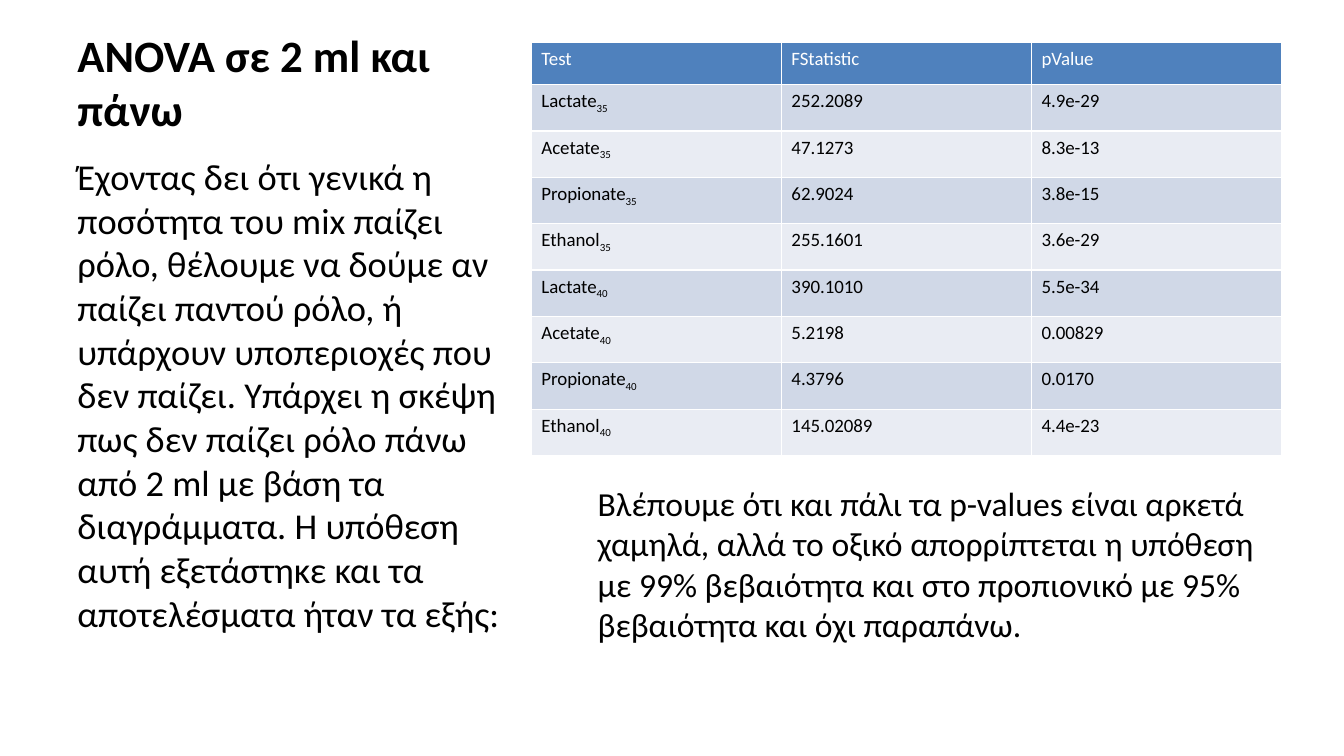
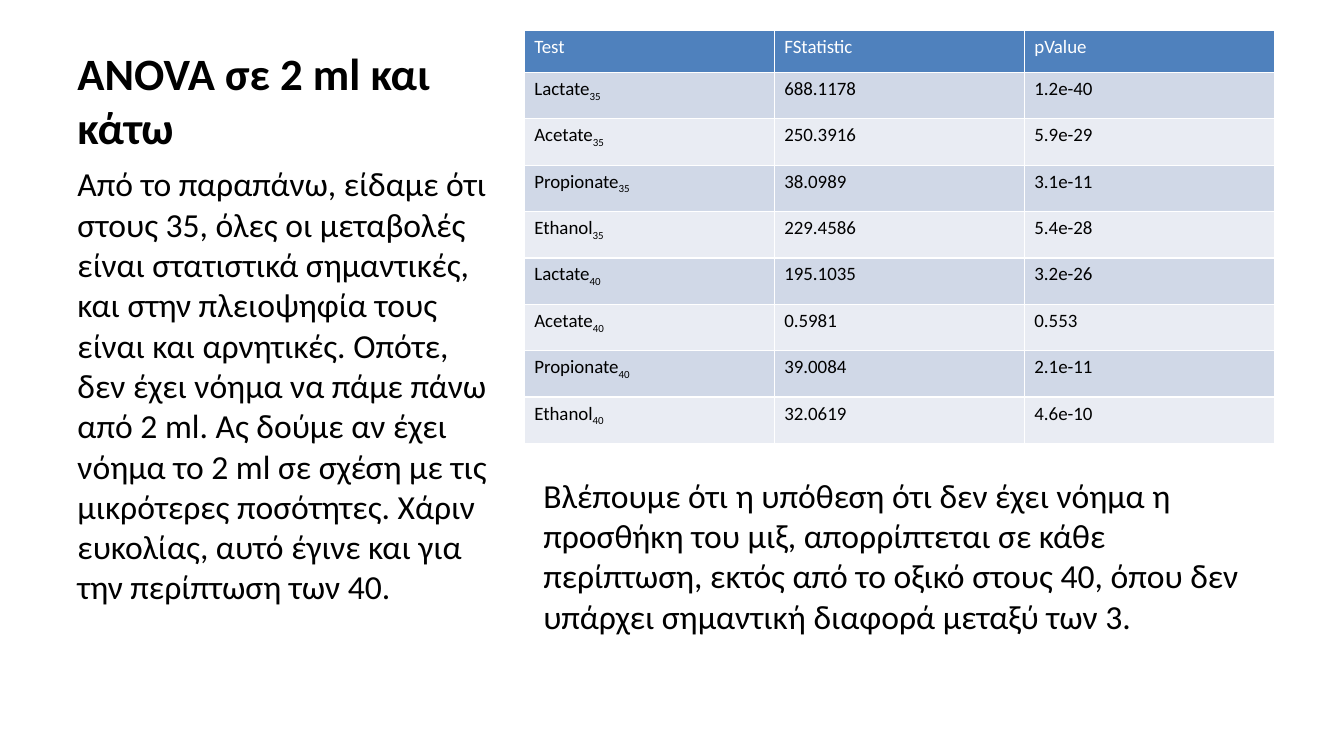
import pptx
import pptx.util
import pptx.dml.color
import pptx.enum.text
import pptx.oxml
import lxml.etree

Inches = pptx.util.Inches
Pt = pptx.util.Pt
Anchor = pptx.enum.text.MSO_ANCHOR

BLACK, WHITE = "000000", "FFFFFF"
HEAD, BANDS = "4F81BD", ("D0D8E7", "E9ECF3")
TITLE = {"size": Pt(32), "bold": True}
LARGE = {"size": Pt(26)}
TEXT = {"size": Pt(24)}
CELL = {"size": Pt(13.5), "bold": False}

COLS = ("Test", "FStatistic", "pValue")
TESTS = [(name, temp) for temp in ("35", "40")
         for name in ("Lactate", "Acetate", "Propionate", "Ethanol")]
COL_W, HEAD_H, ROW_H = 2.48, 0.42, 0.46

SLIDES = [
    {
        "title": ((0.67, 0.12, 4.39, 1.27), "ANOVA σε 2 ml και πάνω"),
        "body": ((0.67, 1.48, 4.56, 5.13),
                 "Έχοντας δει ότι γενικά η ποσότητα του mix παίζει ρόλο, θέλουμε "
                 "να δούμε αν παίζει παντού ρόλο, ή υπάρχουν υποπεριοχές που δεν "
                 "παίζει. Υπάρχει η σκέψη πως δεν παίζει ρόλο πάνω από 2 ml με "
                 "βάση τα διαγράμματα. Η υπόθεση αυτή εξετάστηκε και τα "
                 "αποτελέσματα ήταν τα εξής:", LARGE),
        "table": ((5.27, 0.42),
                  [("252.2089", "4.9e-29"), ("47.1273", "8.3e-13"),
                   ("62.9024", "3.8e-15"), ("255.1601", "3.6e-29"),
                   ("390.1010", "5.5e-34"), ("5.2198", "0.00829"),
                   ("4.3796", "0.0170"), ("145.02089", "4.4e-23")]),
        "note": ((5.83, 4.74, 6.98, 2.25),
                 "Βλέπουμε ότι και πάλι τα p-values είναι αρκετά χαμηλά, αλλά το "
                 "οξικό απορρίπτεται η υπόθεση με 99% βεβαιότητα και στο "
                 "προπιονικό με 95% βεβαιότητα και όχι παραπάνω."),
    },
    {
        "title": ((0.67, 0.3, 4.39, 1.27), "ANOVA σε 2 ml και κάτω"),
        "body": ((0.67, 1.57, 4.39, 5.13),
                 "Από το παραπάνω, είδαμε ότι στους 35, όλες οι μεταβολές είναι "
                 "στατιστικά σημαντικές, και στην πλειοψηφία τους είναι και "
                 "αρνητικές. Οπότε, δεν έχει νόημα να πάμε πάνω από 2 ml. Ας "
                 "δούμε αν έχει νόημα το 2 ml σε σχέση με τις μικρότερες "
                 "ποσότητες. Χάριν ευκολίας, αυτό έγινε και για την περίπτωση "
                 "των 40.", TEXT),
        "table": ((5.2, 0.3),
                  [("688.1178", "1.2e-40"), ("250.3916", "5.9e-29"),
                   ("38.0989", "3.1e-11"), ("229.4586", "5.4e-28"),
                   ("195.1035", "3.2e-26"), ("0.5981", "0.553"),
                   ("39.0084", "2.1e-11"), ("32.0619", "4.6e-10")]),
        "note": ((5.29, 4.66, 7.12, 2.11),
                 "Βλέπουμε ότι η υπόθεση ότι δεν έχει νόημα η προσθήκη του μιξ, "
                 "απορρίπτεται σε κάθε περίπτωση, εκτός από το οξικό στους 40, "
                 "όπου δεν υπάρχει σημαντική διαφορά μεταξύ των 3."),
    },
]


def paint(target, color):
    """Give a font colour or a solid fill its hex colour."""
    target.rgb = pptx.dml.color.RGBColor.from_string(color)


def add_run(para, text, style, color=BLACK):
    run = para.add_run()
    run.text = text
    for key, value in {"name": "Calibri", **style}.items():
        setattr(run.font, key, value)
    paint(run.font.color, color)
    return run


def add_text(slide, box, text, style, anchor=Anchor.TOP, before=0):
    frame = slide.shapes.add_textbox(*map(Inches, box)).text_frame
    frame.word_wrap = True
    frame.vertical_anchor = anchor
    para = frame.paragraphs[0]
    para.space_before = Pt(before)
    add_run(para, text, style)


def add_edges(cell):
    """Draw thin white lines on all four sides of a cell."""
    props = cell._tc.get_or_add_tcPr()
    for side in ("lnL", "lnR", "lnT", "lnB"):
        line = lxml.etree.SubElement(props, pptx.oxml.ns.qn("a:" + side),
                                     w=str(Pt(0.96)))
        fill = lxml.etree.SubElement(line, pptx.oxml.ns.qn("a:solidFill"))
        lxml.etree.SubElement(fill, pptx.oxml.ns.qn("a:srgbClr"), val=WHITE)


def fill_cell(cell, text, back, color=BLACK, sub=""):
    add_edges(cell)
    cell.fill.solid()
    paint(cell.fill.fore_color, back)
    para = cell.text_frame.paragraphs[0]
    add_run(para, text, CELL, color)
    if sub:
        low = add_run(para, sub, CELL, color)
        low.font._element.set("baseline", "-25000")


def add_stats(slide, spot, values):
    """Place the test table with its top left corner at spot."""
    count = len(TESTS)
    size = (COL_W * len(COLS), HEAD_H + ROW_H * count)
    table = slide.shapes.add_table(count + 1, len(COLS),
                                   *map(Inches, spot + size)).table
    for col, name in enumerate(COLS):
        table.columns[col].width = Inches(COL_W)
        fill_cell(table.cell(0, col), name, HEAD, WHITE)
    table.rows[0].height = Inches(HEAD_H)
    for row, ((name, temp), stats) in enumerate(zip(TESTS, values), 1):
        table.rows[row].height = Inches(ROW_H)
        back = BANDS[(row - 1) % 2]
        fill_cell(table.cell(row, 0), name, back, sub=temp)
        for col, stat in enumerate(stats, 1):
            fill_cell(table.cell(row, col), stat, back)


def add_page(deck, page):
    slide = deck.slides.add_slide(deck.slide_layouts[6])
    add_text(slide, *page["title"], TITLE, Anchor.BOTTOM)
    add_text(slide, *page["body"], before=2.1)
    add_stats(slide, *page["table"])
    add_text(slide, *page["note"], TEXT, before=4.8)


def main():
    deck = pptx.Presentation()
    deck.slide_width, deck.slide_height = Inches(13.33), Inches(7.5)
    for page in SLIDES:
        add_page(deck, page)
    deck.save("out.pptx")


if __name__ == "__main__":
    main()
